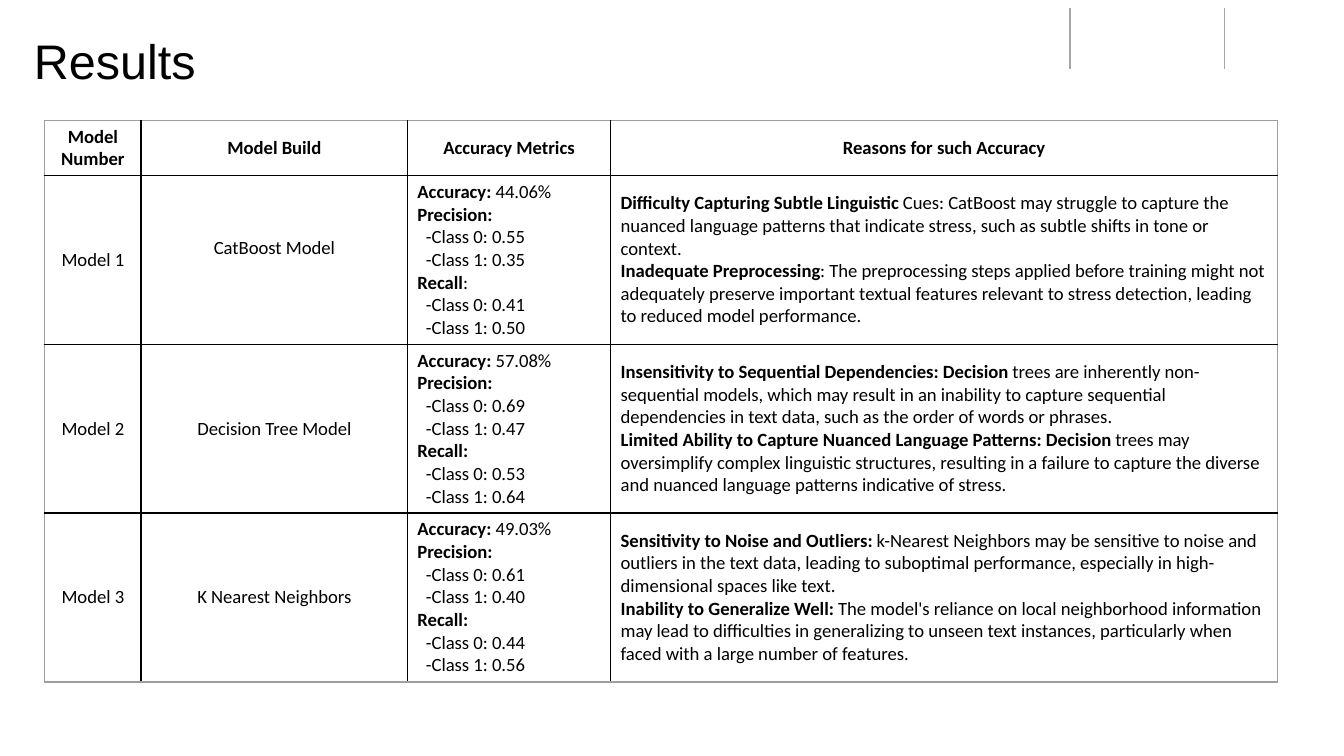
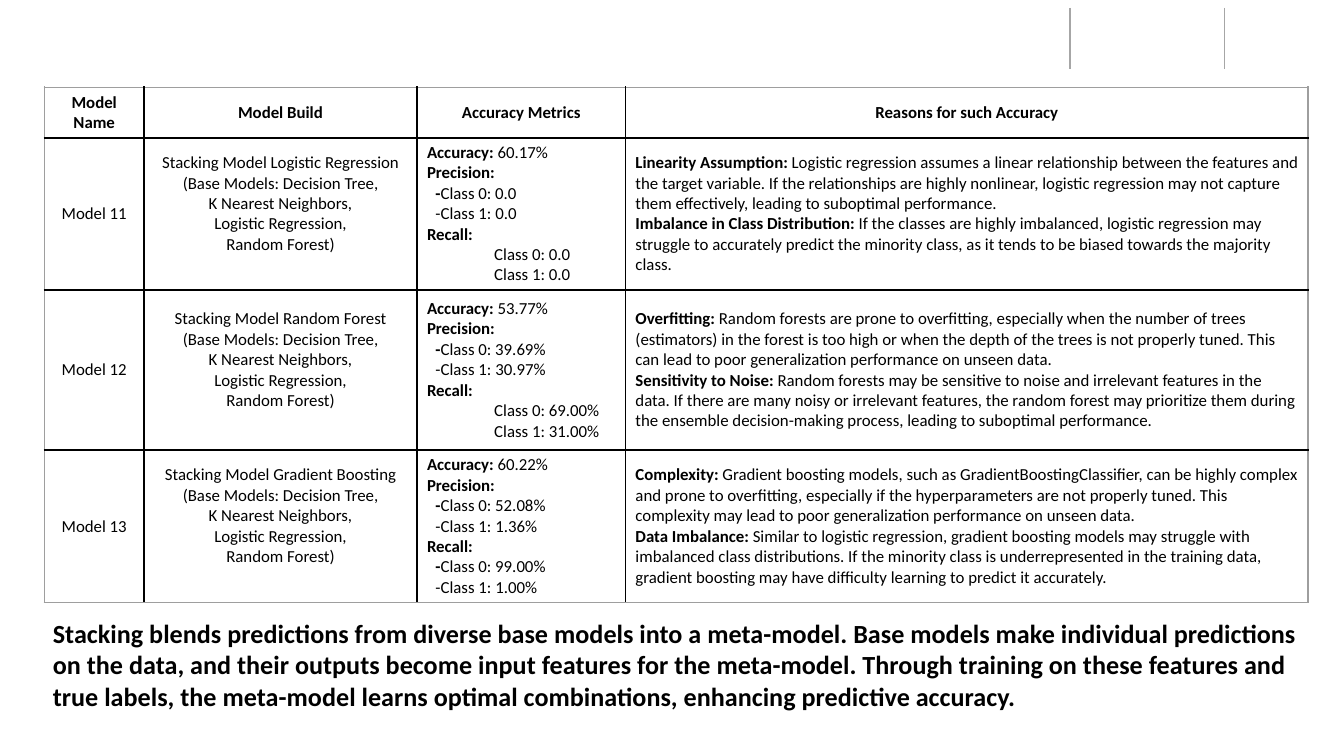
from lxml import etree
from pptx import Presentation
from pptx.dml.color import RGBColor
from pptx.enum import shapes, text
from pptx.oxml import ns
from pptx.util import Cm, Pt

COLORS = {"ink": "000000", "divider": "A6A6A6", "frame": "9E9E9E"}
TITLE_FONT, BODY_FONT = "Arial", "Calibri"
DIVIDERS_X, DIVIDER_TOP, DIVIDER_BOTTOM = (20.22, 23.14), 0.15, 1.3
PAD_X, PAD_Y = Cm(0.19), Cm(0.09)
DASH_INDENT, CLASS_INDENT = Cm(0.16), Cm(1.27)
LINE_HEIGHT = 1.22

# Text between double asterisks is bold.
TITLE = "Results"
HEADINGS = ["**Model Build**", "**Accuracy Metrics**", "**Reasons for such Accuracy**"]
BASE_MODELS = ["(Base Models: Decision Tree,", "K Nearest Neighbors,",
               "Logistic Regression,", "Random Forest)"]

SINGLE_MODELS = {
    "left": 0.84, "top": 2.28, "height": 10.63, "size": 10,
    "cols": (1.83, 5.03, 3.84, 12.6), "rows": (1.04, 3.19, 3.19, 3.19),
    "raised": (1,),
    "cells": [
        [["**Model Number**"], *([h] for h in HEADINGS)],
        [["Model 1"], ["CatBoost Model"],
         ["**Accuracy: **44.06%", "**Precision:**", "-Class 0: 0.55", "-Class 1: 0.35",
          "**Recall**:", "-Class 0: 0.41", "-Class 1: 0.50"],
         ["**Difficulty Capturing Subtle Linguistic **Cues: CatBoost may struggle to capture "
          "the nuanced language patterns that indicate stress, such as subtle shifts in tone "
          "or context.",
          "**Inadequate Preprocessing**: The preprocessing steps applied before training might "
          "not adequately preserve important textual features relevant to stress detection, "
          "leading to reduced model performance."]],
        [["Model 2"], ["Decision Tree Model"],
         ["**Accuracy: **57.08%", "**Precision:**", "-Class 0: 0.69", "-Class 1: 0.47",
          "**Recall:**", "-Class 0: 0.53", "-Class 1: 0.64"],
         ["**Insensitivity to Sequential Dependencies: Decision** trees are inherently "
          "non-sequential models, which may result in an inability to capture sequential "
          "dependencies in text data, such as the order of words or phrases.",
          "**Limited Ability to Capture Nuanced Language Patterns: Decision** trees may "
          "oversimplify complex linguistic structures, resulting in a failure to capture the "
          "diverse and nuanced language patterns indicative of stress."]],
        [["Model 3"], ["K Nearest Neighbors"],
         ["**Accuracy: **49.03%", "**Precision:**", "-Class 0: 0.61", "-Class 1: 0.40",
          "**Recall:**", "-Class 0: 0.44", "-Class 1: 0.56"],
         ["**Sensitivity to Noise and Outliers: **k-Nearest Neighbors may be sensitive to noise "
          "and outliers in the text data, leading to suboptimal performance, especially in "
          "high-dimensional spaces like text.",
          "**Inability to Generalize Well: **The model's reliance on local neighborhood "
          "information may lead to difficulties in generalizing to unseen text instances, "
          "particularly when faced with a large number of features."]],
    ],
}

STACKING_MODELS = {
    "left": 0.84, "top": 1.65, "height": 9.7, "size": 9,
    "cols": (1.88, 5.16, 3.94, 12.9), "rows": (0.91, 2.41, 3.02, 2.41),
    "raised": (1, 2, 3),
    "cells": [
        [["**Model Name**"], *([h] for h in HEADINGS)],
        [["Model 11"], ["Stacking Model Logistic Regression", *BASE_MODELS],
         ["**Accuracy: **60.17%", "**Precision:**", "**-**Class 0: 0.0", "-Class 1: 0.0",
          "**Recall:**", "Class 0: 0.0", "Class 1: 0.0"],
         ["**Linearity Assumption:** Logistic regression assumes a linear relationship between "
          "the features and the target variable. If the relationships are highly nonlinear, "
          "logistic regression may not capture them effectively, leading to suboptimal "
          "performance.",
          "**Imbalance in Class Distribution:** If the classes are highly imbalanced, logistic "
          "regression may struggle to accurately predict the minority class, as it tends to be "
          "biased towards the majority class."]],
        [["Model 12"], ["Stacking Model Random Forest", *BASE_MODELS],
         ["**Accuracy: **53.77%", "**Precision:**", "**-**Class 0: 39.69%", "-Class 1: 30.97%",
          "**Recall:**", "Class 0: 69.00%", "Class 1: 31.00%"],
         ["**Overfitting:** Random forests are prone to overfitting, especially when the number "
          "of trees (estimators) in the forest is too high or when the depth of the trees is "
          "not properly tuned. This can lead to poor generalization performance on unseen data.",
          "**Sensitivity to Noise:** Random forests may be sensitive to noise and irrelevant "
          "features in the data. If there are many noisy or irrelevant features, the random "
          "forest may prioritize them during the ensemble decision-making process, leading to "
          "suboptimal performance."]],
        [["Model 13"], ["Stacking Model Gradient Boosting", *BASE_MODELS],
         ["**Accuracy: **60.22%", "**Precision:**", "**-**Class 0: 52.08%", "-Class 1: 1.36%",
          "**Recall:**", "**-**Class 0: 99.00%", "-Class 1: 1.00%"],
         ["**Complexity:** Gradient boosting models, such as GradientBoostingClassifier, can be "
          "highly complex and prone to overfitting, especially if the hyperparameters are not "
          "properly tuned. This complexity may lead to poor generalization performance on "
          "unseen data.",
          "**Data Imbalance:** Similar to logistic regression, gradient boosting models may "
          "struggle with imbalanced class distributions. If the minority class is "
          "underrepresented in the training data, gradient boosting may have difficulty "
          "learning to predict it accurately."]],
    ],
}

STACKING_NOTE = ("**Stacking blends predictions from diverse base models into a meta-model. Base "
                 "models make individual predictions on the data, and their outputs become input "
                 "features for the meta-model. Through training on these features and true "
                 "labels, the meta-model learns optimal combinations, enhancing predictive "
                 "accuracy.**")


def rgb(name):
    return RGBColor.from_string(COLORS[name])


def add_runs(p, marked, size, font=BODY_FONT):
    for i, part in enumerate(marked.split("**")):
        if part:
            r = p.add_run()
            r.text = part
            r.font.size, r.font.name = Pt(size), font
            r.font.bold = i % 2 == 1
            r.font.color.rgb = rgb("ink")


def set_indent(p, marked):
    """Indent class values: slightly after a dash, deeply without one."""
    plain = marked.replace("*", "")
    if plain.startswith("Class "):
        p.level, left = 1, CLASS_INDENT
    elif plain.startswith("-"):
        left = DASH_INDENT
    else:
        return
    pPr = p._p.get_or_add_pPr()
    pPr.set("marL", str(left))
    pPr.set("indent", "0")


def set_borders(cell, edges):
    """Draw the four sides, grey where the side lies on the table's edge."""
    tcPr = cell._tc.get_or_add_tcPr()
    for side in "LRTB":
        ln = etree.SubElement(tcPr, ns.qn(f"a:ln{side}"), w=str(Pt(1)))
        fill = etree.SubElement(ln, ns.qn("a:solidFill"))
        color = COLORS["frame" if side in edges else "ink"]
        etree.SubElement(fill, ns.qn("a:srgbClr"), val=color)


def add_model_table(s, models):
    cols, rows, size = models["cols"], models["rows"], models["size"]
    frame = s.shapes.add_table(len(rows), len(cols), Cm(models["left"]), Cm(models["top"]),
                               Cm(sum(cols)), Cm(models["height"]))
    table = frame.table
    table.horz_banding = table.first_row = False
    for column, width in zip(table.columns, cols):
        column.width = Cm(width)
    for row, height in zip(table.rows, rows):
        row.height = Cm(height)
    frame.height = Cm(models["height"])

    for y, row in enumerate(models["cells"]):
        for x, paragraphs in enumerate(row):
            cell = table.cell(y, x)
            cell.margin_left = cell.margin_right = PAD_X
            cell.margin_top = cell.margin_bottom = PAD_Y
            if x == 1 and y in models["raised"]:
                cell.margin_bottom = PAD_Y + Pt(size * LINE_HEIGHT)
            cell.vertical_anchor = text.MSO_ANCHOR.MIDDLE
            edges = {"L": x == 0, "R": x == len(cols) - 1, "T": y == 0, "B": y == len(rows) - 1}
            set_borders(cell, [side for side, outer in edges.items() if outer])
            cell.fill.background()
            tf = cell.text_frame
            for i, marked in enumerate(paragraphs):
                p = tf.add_paragraph() if i else tf.paragraphs[0]
                centred = y == 0 or x < 2
                p.alignment = text.PP_ALIGN.CENTER if centred else text.PP_ALIGN.LEFT
                set_indent(p, marked)
                add_runs(p, marked, size)


def add_master_dividers(prs, s):
    """Draw the divider lines and move them to the master."""
    for i, x in enumerate(DIVIDERS_X):
        line = s.shapes.add_connector(shapes.MSO_CONNECTOR.STRAIGHT, Cm(x), Cm(DIVIDER_TOP),
                                      Cm(x), Cm(DIVIDER_BOTTOM))
        line.line.color.rgb = rgb("divider")
        line.line.width = Pt(0.75)
        etree.SubElement(line.element.spPr, ns.qn("a:effectLst"))
        line.element.nvCxnSpPr.cNvPr.set("id", str(100 + i))
        prs.slide_master.shapes.element.append(line.element)


def place(sp, left, top, width, height):
    sp.left, sp.top, sp.width, sp.height = Cm(left), Cm(top), Cm(width), Cm(height)


def add_title(s):
    sp = s.shapes.title
    place(sp, 0.64, 0.58, 21.89, 2.77)
    tf = sp.text_frame
    tf.margin_left = tf.margin_right = tf.margin_top = tf.margin_bottom = 0
    tf.vertical_anchor = text.MSO_ANCHOR.TOP
    p = tf.paragraphs[0]
    p.alignment = text.PP_ALIGN.LEFT
    add_runs(p, TITLE, 26, TITLE_FONT)


def add_note(s):
    sp = s.shapes.add_textbox(Cm(0.81), Cm(11.58), Cm(23.9), Cm(2.03))
    tf = sp.text_frame
    tf.word_wrap = True
    tf.auto_size = text.MSO_AUTO_SIZE.SHAPE_TO_FIT_TEXT
    tf.margin_left = tf.margin_right = PAD_X
    tf.margin_top = tf.margin_bottom = PAD_Y
    add_runs(tf.paragraphs[0], STACKING_NOTE, 14)


def main():
    prs = Presentation()
    prs.slide_width, prs.slide_height = Cm(25.4), Cm(14.29)
    title_only, blank = prs.slide_layouts[5], prs.slide_layouts[6]

    s = prs.slides.add_slide(title_only)
    add_master_dividers(prs, s)
    add_title(s)
    add_model_table(s, SINGLE_MODELS)

    s = prs.slides.add_slide(blank)
    add_model_table(s, STACKING_MODELS)
    add_note(s)
    prs.save("out.pptx")


if __name__ == "__main__":
    main()
